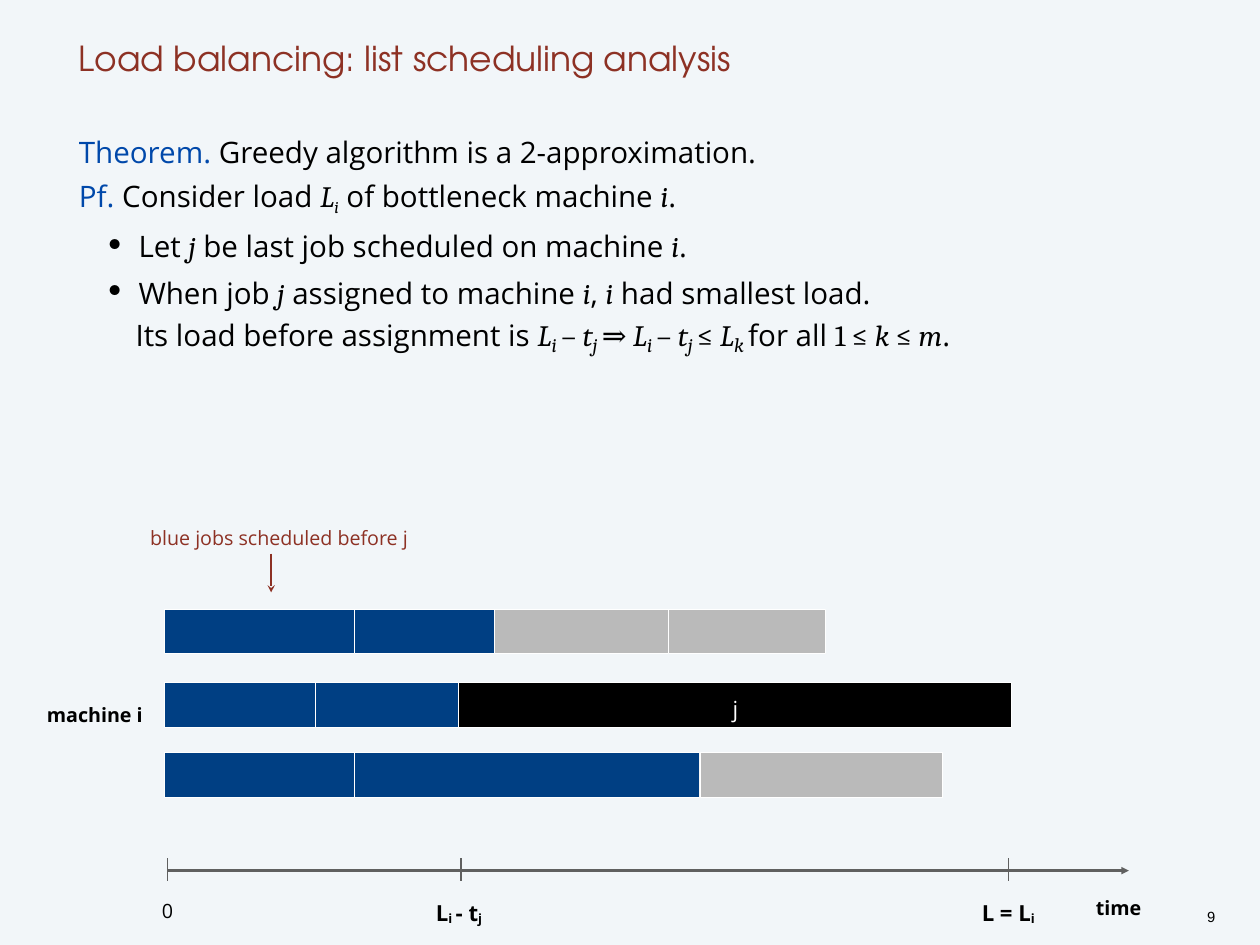
from itertools import pairwise
from typing import NamedTuple

from lxml import etree
from pptx import Presentation
from pptx.dml.color import RGBColor
from pptx.enum.shapes import MSO_CONNECTOR, MSO_SHAPE
from pptx.enum.text import MSO_ANCHOR, MSO_AUTO_SIZE, PP_ALIGN
from pptx.oxml.ns import qn
from pptx.util import Inches, Pt

LEFT, CENTER = PP_ALIGN.LEFT, PP_ALIGN.CENTER
TOP, MIDDLE, BOTTOM = MSO_ANCHOR.TOP, MSO_ANCHOR.MIDDLE, MSO_ANCHOR.BOTTOM
FIXED, GROW = MSO_AUTO_SIZE.NONE, MSO_AUTO_SIZE.SHAPE_TO_FIT_TEXT
STRAIGHT, RECTANGLE = MSO_CONNECTOR.STRAIGHT, MSO_SHAPE.RECTANGLE

PAPER = RGBColor(0xF2, 0xF6, 0xF9)
BROWN = RGBColor(0x8D, 0x31, 0x24)
TERM_BLUE = RGBColor(0x00, 0x48, 0xAA)
JOB_BLUE = RGBColor(0x00, 0x3F, 0x83)
JOB_GRAY = RGBColor(0xBA, 0xBA, 0xBA)
AXIS_GRAY = RGBColor(0x60, 0x60, 0x60)
BLACK = RGBColor(0, 0, 0)
WHITE = RGBColor(0xFF, 0xFF, 0xFF)

SANS, SERIF, DISPLAY = "Open Sans", "Cambria", "TeX Gyre Adventor"


class Box(NamedTuple):
    """A rectangle in inches."""

    left: float
    top: float
    width: float
    height: float

    def lengths(self):
        """Return the four sides as slide lengths."""
        return [Inches(side) for side in self]


class Style(NamedTuple):
    """The look of one span of text."""

    font: str = SANS
    size: int = 24
    color: RGBColor = BLACK
    italic: bool = False
    baseline: int = 0


PLAIN = Style()
TERM = Style(color=TERM_BLUE)
MATH = Style(SERIF, italic=True)
SIGN = Style(SERIF)
SUB = Style(SERIF, italic=True, baseline=-20)
BIG_SUB = Style(SERIF, 28, italic=True, baseline=-20)

STATEMENT = [
    [("Theorem. ", TERM), ("Greedy algorithm is a 2-approximation.", PLAIN)],
    [("Pf. ", TERM), ("Consider load ", PLAIN), ("L", MATH), ("i", SUB),
     (" of bottleneck machine ", PLAIN), ("i", MATH), (".", PLAIN)],
]
LOAD_BEFORE = [("L", MATH), ("i ", BIG_SUB), ("–", SIGN), (" t", MATH)]
STEPS = [
    [("Let ", PLAIN), ("j", MATH), (" be last job scheduled on machine ", PLAIN),
     ("i", MATH), (".", PLAIN)],
    [("When job ", PLAIN), ("j", MATH), (" assigned to machine ", PLAIN), ("i", MATH),
     (", ", PLAIN), ("i", MATH),
     (" had smallest load.\vIts load before assignment is ", PLAIN),
     *LOAD_BEFORE, ("j ", BIG_SUB), ("⇒ ", SIGN),
     *LOAD_BEFORE, ("j ", BIG_SUB), ("≤ ", SIGN), ("L", MATH), ("k ", BIG_SUB),
     ("for all ", PLAIN), ("1 ≤ ", SIGN), ("k", MATH), (" ≤ ", SIGN), ("m", MATH),
     (".", PLAIN)],
]

LANES = [
    (0, [0, 2.14, 3.72, 5.68, 7.46], [JOB_BLUE, JOB_BLUE, JOB_GRAY, JOB_GRAY]),
    (0.83, [0, 1.7, 3.32, 9.56], [JOB_BLUE, JOB_BLUE, BLACK]),
    (1.62, [0, 2.14, 6.04, 8.78], [JOB_BLUE, JOB_BLUE, JOB_GRAY]),
]
LANE_HEIGHT = 0.5


def set_font(font, name, size, color, bold=False, italic=False):
    """Apply the given look to a font."""
    font.name, font.size, font.bold, font.italic = name, Pt(size), bold, italic
    font.color.rgb = color


def set_frame(frame, anchor=TOP, auto_size=FIXED, wrap=True, inset=0):
    """Set the margins, anchor and fitting of a text frame."""
    frame.margin_left = frame.margin_right = Inches(inset)
    frame.margin_top = frame.margin_bottom = Inches(inset)
    frame.vertical_anchor = anchor
    frame.word_wrap = wrap
    frame.auto_size = auto_size


def place(shape, box):
    """Move a placeholder into the box."""
    shape.left, shape.top, shape.width, shape.height = box.lengths()


def set_bullet(para, bulleted):
    """Give a body paragraph its indent and bullet."""
    properties = para._p.get_or_add_pPr()
    properties.set("marL", str(Inches(0.64 if bulleted else 0)))
    properties.set("indent", str(Inches(-0.5 if bulleted else 0)))
    if bulleted:
        etree.SubElement(properties, qn("a:buSzPct"), val="160000")
        etree.SubElement(properties, qn("a:buChar"), char="・")
    else:
        etree.SubElement(properties, qn("a:buNone"))


def add_span(para, text, baseline=0):
    """Add a run, lowered by a percentage when asked, and return it."""
    span = para.add_run()
    span.text = text
    if baseline:
        span._r.get_or_add_rPr().set("baseline", str(baseline * 1000))
    return span


def add_title(page, box):
    """Fill the title placeholder."""
    title = page.shapes.title
    place(title, box)
    set_frame(title.text_frame, BOTTOM)
    para = title.text_frame.paragraphs[0]
    para.text = "Load balancing: list scheduling analysis"
    para.alignment, para.line_spacing = LEFT, Pt(38)
    set_font(para.font, DISPLAY, 28, BROWN)


def add_proof(page, box):
    """Fill the body placeholder with the theorem and its proof."""
    body = page.placeholders[1]
    place(body, box)
    frame = body.text_frame
    set_frame(frame)
    for index, spans in enumerate(STATEMENT + STEPS):
        para = frame.add_paragraph() if index else frame.paragraphs[0]
        bulleted = index >= len(STATEMENT)
        para.level = int(bulleted)
        set_bullet(para, bulleted)
        para.line_spacing, para.space_before = Pt(38), Pt(0)
        for text, style in spans:
            for part, line in enumerate(text.split("\v")):
                if part:
                    para.add_line_break()
                span = add_span(para, line, style.baseline)
                set_font(span.font, style.font, style.size, style.color, italic=style.italic)


def add_label(page, box, parts, size=16, color=BLACK, bold=True, wrap=True,
              font=SANS, spacing=1.3, inset=0):
    """Add a centred label whose odd parts are lowered."""
    frame = page.shapes.add_textbox(*box.lengths()).text_frame
    set_frame(frame, auto_size=GROW, wrap=wrap, inset=inset)
    para = frame.paragraphs[0]
    para.alignment, para.line_spacing = CENTER, spacing
    set_font(para.font, font, size, color, bold)
    for index, text in enumerate(parts):
        add_span(para, text, -6 if index % 2 else 0)


def add_line(page, start, end, color, width, arrow=None):
    """Draw a straight line, with an arrowhead at its end if one is named."""
    ends = [Inches(value) for value in (*start, *end)]
    line = page.shapes.add_connector(STRAIGHT, *ends)
    line.line.color.rgb, line.line.width = color, Pt(width)
    if arrow:
        etree.SubElement(line.line._get_or_add_ln(), qn("a:tailEnd"), type=arrow)
    etree.SubElement(line._element.spPr, qn("a:effectLst"))


def add_job(page, box, color):
    """Draw one job block and return it."""
    job = page.shapes.add_shape(RECTANGLE, *box.lengths())
    job.shadow.inherit = False
    job.fill.solid()
    job.fill.fore_color.rgb = color
    job.line.color.rgb, job.line.width = WHITE, Pt(0.75)
    return job


def add_schedule(page, box):
    """Draw the machines' job lanes with their labels."""
    for offset, edges, colors in LANES:
        for (start, end), color in zip(pairwise(edges), colors):
            job = add_job(page, Box(box.left + start, box.top + offset, end - start,
                                    LANE_HEIGHT), color)
            if color == BLACK:
                set_frame(job.text_frame, MIDDLE)
                para = job.text_frame.paragraphs[0]
                para.text = "j"
                para.alignment, para.line_spacing = CENTER, 1.3
                set_font(para.font, SANS, 18, WHITE)
    add_label(page, Box(box.left - 0.25, box.top - 1.02, 3.08, 0.21),
              ["blue jobs scheduled before j"], color=BROWN, bold=False, wrap=False)
    add_label(page, Box(box.left - 1.35, box.top + 0.98, 1.12, 0.25), ["machine i"], wrap=False)
    arrow_x = box.left + 1.2
    add_line(page, (arrow_x, box.top - 0.63), (arrow_x, box.top - 0.19), BROWN, 2, "stealth")


def add_time_axis(page, box):
    """Draw the time axis with its ticks and labels."""
    middle = box.top + 0.14
    add_line(page, (box.left, middle), (box.left + box.width, middle), AXIS_GRAY, 2, "triangle")
    ticks = [(0, ["0"], 16, False), (3.31, ["L", "i ", "- t", "j "], 18, True),
             (9.49, ["L = L", "i"], 18, True)]
    for offset, parts, size, bold in ticks:
        x = box.left + offset
        add_line(page, (x, box.top), (x, box.top + 0.26), AXIS_GRAY, 1.25)
        add_label(page, Box(x - 0.38, box.top + 0.38, 0.76, 0.29), parts, size, bold=bold)
    add_label(page, Box(box.left + 9.72, box.top + 0.35, 2.03, 0.25), ["time"])


def main():
    """Build the deck and save it."""
    deck = Presentation()
    deck.slide_width, deck.slide_height = Inches(14.22), Inches(10.67)
    page = deck.slides.add_slide(deck.slide_layouts[1])
    page.background.fill.solid()
    page.background.fill.fore_color.rgb = PAPER
    add_title(page, Box(0.89, 0, 12.44, 0.89))
    add_proof(page, Box(0.89, 1.39, 12.44, 8.94))
    add_schedule(page, Box(1.86, 6.88, 9.56, 2.12))
    add_time_axis(page, Box(1.89, 9.69, 10.85, 0.67))
    add_label(page, Box(13.57, 10.22, 0.2, 0.24), ["9"], 12, bold=False, wrap=False,
              font="Arial", spacing=Pt(14), inset=0.04)
    deck.save("out.pptx")


if __name__ == "__main__":
    main()
